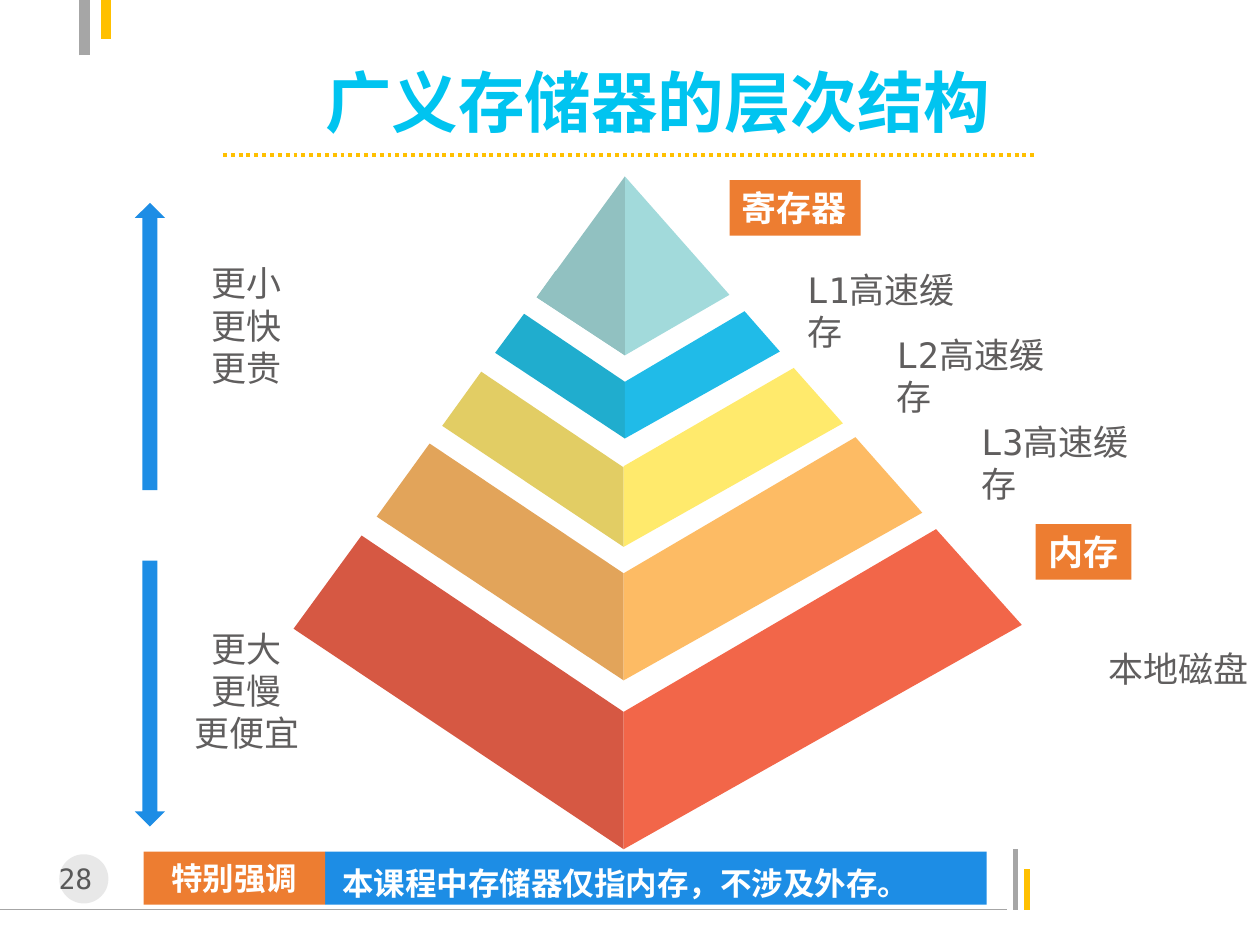
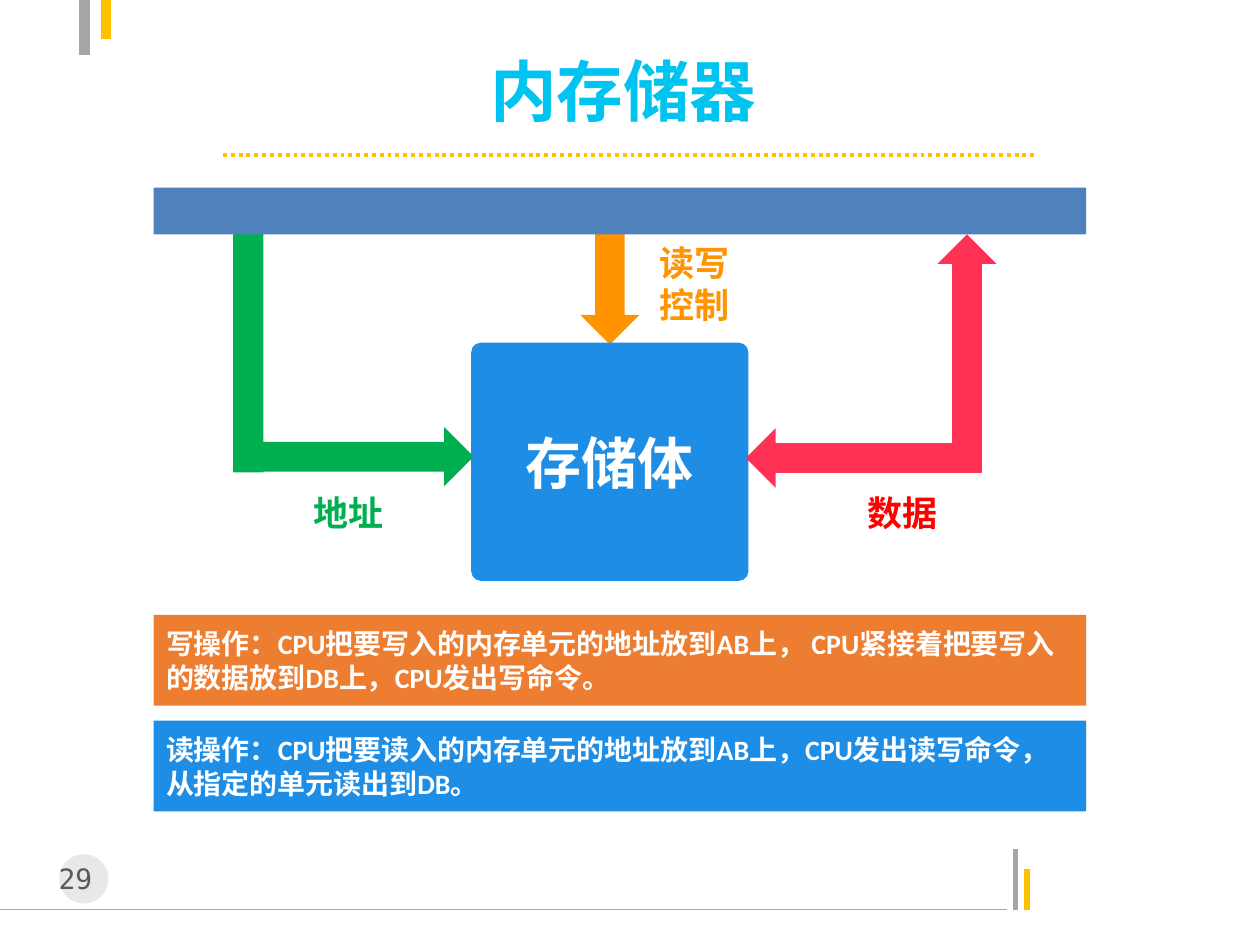
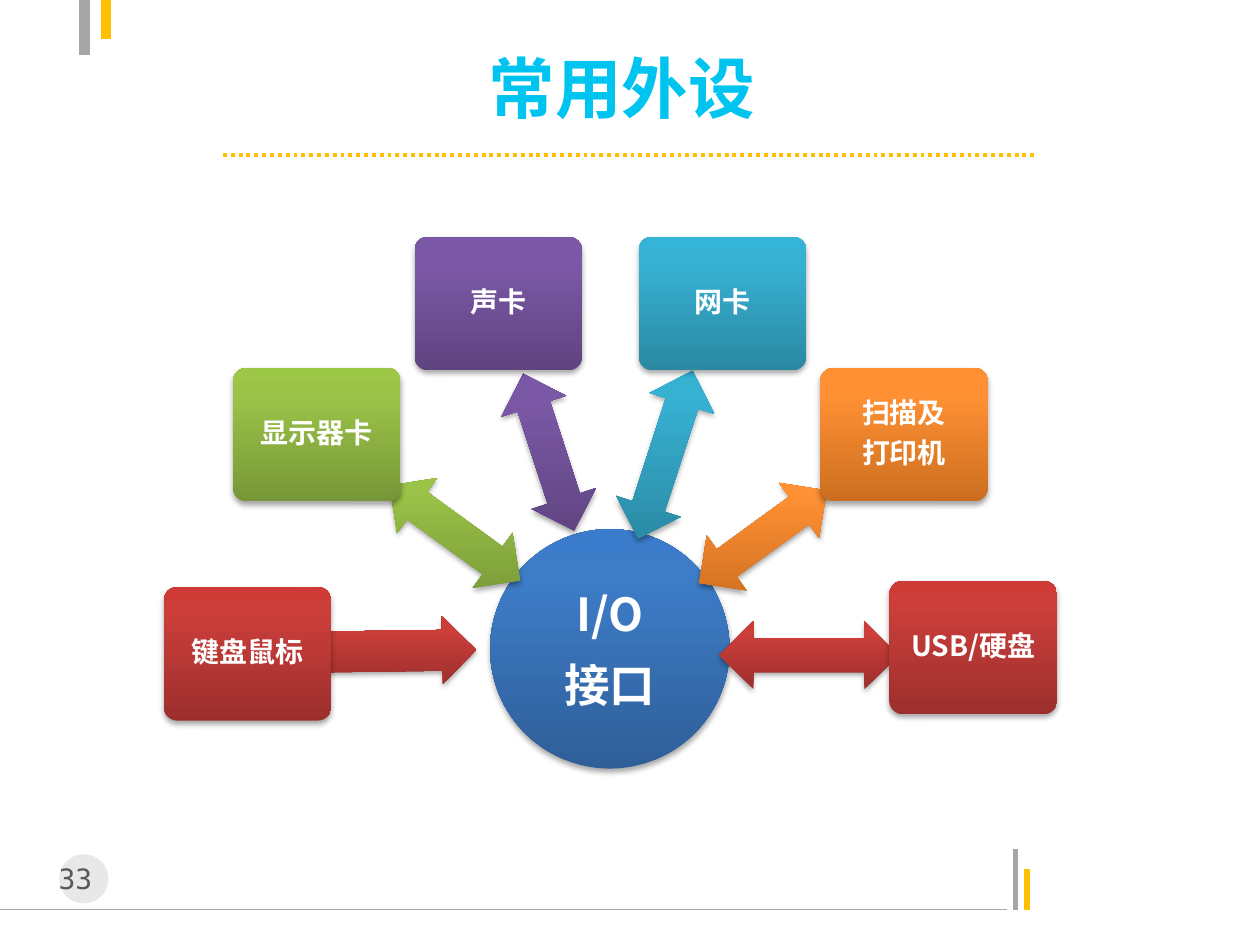
from dataclasses import dataclass, field
from typing import Any, NamedTuple, Optional

from pptx import Presentation
from pptx.dml.color import RGBColor
from pptx.enum.dml import MSO_LINE
from pptx.enum.shapes import MSO_CONNECTOR, MSO_SHAPE as Preset
from pptx.enum.text import MSO_ANCHOR as Anchor, MSO_AUTO_SIZE as AutoSize, PP_ALIGN as Align
from pptx.oxml import parse_xml
from pptx.oxml.ns import nsdecls, qn
from pptx.util import Inches, Pt

WHITE = RGBColor(0xFF, 0xFF, 0xFF)
CYAN = RGBColor(0x00, 0xC4, 0xF0)
GOLD = RGBColor(0xFF, 0xC0, 0x00)
GREY = RGBColor(0xA6, 0xA6, 0xA6)
DISC_GREY = RGBColor(0xBF, 0xBF, 0xBF)
NUMBER_GREY = RGBColor(0x59, 0x59, 0x59)
TEXT_GREY = RGBColor(0x60, 0x5E, 0x5E)
BLUE = RGBColor(0x1D, 0x8D, 0xE5)
BUS_BLUE = RGBColor(0x4F, 0x81, 0xBD)
ORANGE = RGBColor(0xED, 0x7D, 0x31)
AMBER = RGBColor(0xFF, 0x93, 0x00)
GREEN = RGBColor(0x00, 0xB0, 0x50)
PINK = RGBColor(0xFF, 0x32, 0x55)
RED = RGBColor(0xFF, 0x00, 0x00)

MONO, SANS, BODY, SERIF = "DejaVu Sans Mono", "Noto Sans CJK SC", "Calibri", "Times New Roman"


class Gradient(NamedTuple):
    bottom: RGBColor
    middle: RGBColor
    top: RGBColor


BLUE_GLOSS = Gradient(RGBColor(0x2F, 0x5F, 0x99), RGBColor(0x3D, 0x7C, 0xC7), RGBColor(0x3A, 0x7C, 0xCB))
RED_GLOSS = Gradient(RGBColor(0x9C, 0x2F, 0x2D), RGBColor(0xCB, 0x3E, 0x3A), RGBColor(0xCE, 0x3B, 0x37))
GREEN_GLOSS = Gradient(RGBColor(0x77, 0x97, 0x37), RGBColor(0x9B, 0xC3, 0x48), RGBColor(0x9D, 0xC7, 0x46))
PURPLE_GLOSS = Gradient(RGBColor(0x5F, 0x44, 0x80), RGBColor(0x7B, 0x58, 0xA6), RGBColor(0x7C, 0x57, 0xA8))
TEAL_GLOSS = Gradient(RGBColor(0x2A, 0x88, 0xA2), RGBColor(0x37, 0xB1, 0xD2), RGBColor(0x34, 0xB4, 0xD6))
ORANGE_GLOSS = Gradient(RGBColor(0xCC, 0x6E, 0x20), RGBColor(0xFF, 0x90, 0x34), RGBColor(0xFF, 0x91, 0x36))


@dataclass(frozen=True)
class Look:
    """How a text is set; margins run left, top, right, bottom in inches."""
    font: str
    size: float
    color: RGBColor
    bold: bool = True
    align: Align = Align.LEFT
    anchor: Anchor = Anchor.TOP
    margins: tuple = (0.1, 0.05, 0.1, 0.05)
    wrap: bool = True
    grow: bool = False
    paragraph: dict = field(default_factory=dict)


TITLE = Look(SANS, 38, CYAN, anchor=Anchor.MIDDLE)
PAGE_NUMBER = Look(MONO, 16, NUMBER_GREY, bold=False, align=Align.CENTER, grow=True)
TAG = Look(MONO, 20, WHITE, wrap=False, grow=True)
LEVEL = Look(MONO, 20, TEXT_GREY, bold=False, grow=True)
TRAIT = Look(MONO, 20, TEXT_GREY, bold=False, wrap=False, grow=True)
TRAIT_CENTERED = Look(MONO, 20, TEXT_GREY, bold=False, align=Align.CENTER, wrap=False, grow=True)
NOTICE = Look(SANS, 18, WHITE, grow=True, paragraph={"line_spacing": 1.2})
NOTICE_HEAD = Look(SANS, 18, WHITE, align=Align.CENTER, anchor=Anchor.MIDDLE)
STORE = Look(BODY, 32, WHITE, align=Align.CENTER, anchor=Anchor.MIDDLE)
OPERATION = Look(BODY, 16, WHITE, anchor=Anchor.MIDDLE)
DEVICE = Look(SANS, 16, WHITE, align=Align.CENTER, anchor=Anchor.MIDDLE, margins=(0.03,) * 4,
              paragraph={"line_spacing": 0.9, "space_after": Pt(5.6)})
HUB = Look(SANS, 26, WHITE, align=Align.CENTER, anchor=Anchor.MIDDLE, margins=(0.02,) * 4,
           paragraph={"space_after": Pt(9.1)})


def signal_look(color: RGBColor) -> Look:
    return Look(SERIF, 20, color, align=Align.CENTER, margins=(0.02, 0, 0.01, 0), wrap=False)


@dataclass(frozen=True)
class Block:
    """A preset shape, or a text box when kind is None."""
    place: tuple
    kind: Optional[Preset] = None
    fill: Any = None
    text: str = ""
    look: Optional[Look] = None
    rotation: float = 0
    adjust: tuple = ()


class Rule(NamedTuple):
    start: tuple
    end: tuple
    color: RGBColor
    width: float
    dotted: bool = False


class Face(NamedTuple):
    color: RGBColor
    points: tuple


class Device(NamedTuple):
    text: str
    gloss: Gradient
    corner: tuple
    arrow: tuple
    rotation: float
    kind: Preset = Preset.LEFT_RIGHT_ARROW
    adjust: tuple = ()


RULES = [
    Rule((0, 7.22), (7.99, 7.22), GREY, 0.75),
    Rule((8.06, 7.22), (8.06, 6.74), GREY, 3),
    Rule((8.15, 7.22), (8.15, 6.9), GOLD, 3),
    Rule((0.67, 0.44), (0.67, 0), GREY, 6),
    Rule((0.84, 0), (0.84, 0.31), GOLD, 6),
    Rule((1.77, 1.23), (8.23, 1.23), GOLD, 2.25, True),
]

FACES = [
    Face(RGBColor(0xA2, 0xDA, 0xDB), ((4.96, 2.82), (4.96, 1.4), (5.79, 2.34))),
    Face(RGBColor(0x91, 0xC1, 0xC1), ((4.96, 1.4), (4.26, 2.36), (4.96, 2.82))),
    Face(RGBColor(0xE2, 0xA4, 0x5A), ((3.41, 3.52), (2.99, 4.1), (4.95, 5.4), (4.95, 4.55))),
    Face(RGBColor(0xFD, 0xBB, 0x64), ((4.95, 4.55), (4.95, 5.4), (7.32, 4.07), (6.79, 3.47))),
    Face(RGBColor(0xE2, 0xCD, 0x64), ((3.82, 2.95), (3.51, 3.38), (4.95, 4.34), (4.95, 3.71))),
    Face(RGBColor(0xFF, 0xEA, 0x6C), ((4.95, 3.7), (4.95, 4.34), (6.69, 3.36), (6.3, 2.92))),
    Face(RGBColor(0x20, 0xAD, 0xCE), ((4.16, 2.49), (3.93, 2.8), (4.96, 3.48), (4.96, 3.03))),
    Face(RGBColor(0x20, 0xBB, 0xE8), ((4.96, 3.03), (4.96, 3.48), (6.19, 2.79), (5.91, 2.47))),
    Face(RGBColor(0xD6, 0x58, 0x43), ((2.87, 4.25), (2.33, 4.99), (4.95, 6.74), (4.95, 5.65))),
    Face(RGBColor(0xF2, 0x66, 0x49), ((4.95, 5.65), (4.95, 6.74), (8.11, 4.96), (7.43, 4.2))),
    Face(RGBColor(0x91, 0xC1, 0xC1), ((4.41, 2.15), (4.26, 2.36), (4.96, 2.82), (4.96, 2.52))),
]

HIERARCHY = [
    Block((5.79, 1.43, 1.04, 0.44), Preset.RECTANGLE, ORANGE, "寄存器", TAG),
    *(Block((left, top, 1.64, 0.44), text=f"L{level}高速缓存", look=LEVEL)
      for level, (left, top) in enumerate([(6.31, 2.08), (7.02, 2.6), (7.69, 3.29)], 1)),
    Block((8.22, 4.16, 0.76, 0.44), Preset.RECTANGLE, ORANGE, "内存", TAG),
    Block((1.07, 1.61, 0.24, 2.28), Preset.UP_ARROW, BLUE),
    Block((1.07, 4.45, 0.24, 2.11), Preset.DOWN_ARROW, BLUE),
    Block((1.58, 2.03, 0.76, 1.11), text="更小\n更快\n更贵", look=TRAIT),
    Block((1.44, 4.93, 1.04, 1.11), text="更大\n更慢\n更便宜", look=TRAIT_CENTERED),
    Block((2.58, 6.76, 5.25, 0.42), Preset.RECTANGLE, BLUE),
    Block((2.62, 6.75, 5.23, 0.43), text="本课程中存储器仅指内存，不涉及外存。", look=NOTICE),
    Block((1.14, 6.76, 1.44, 0.42), Preset.RECTANGLE, ORANGE, "特别强调", NOTICE_HEAD),
    Block((8.7, 5.09, 1.32, 0.44), text="本地磁盘", look=TRAIT),
]

MEMORY = [
    Block((4.32, 1.98, 1.04, 0.47), Preset.RIGHT_ARROW, AMBER, rotation=90),
    Block((0.91, 2.57, 2.12, 0.24), Preset.RECTANGLE, GREEN, rotation=90),
    Block((3.74, 2.72, 2.2, 1.89), Preset.ROUNDED_RECTANGLE, BLUE, "存储体", STORE, adjust=(0.04,)),
    Block((1.22, 1.49, 7.4, 0.37), Preset.RECTANGLE, BUS_BLUE),
    Block((1.89, 3.39, 1.87, 0.47), Preset.RIGHT_ARROW, GREEN),
    Block((5.92, 3.4, 1.87, 0.47), Preset.RIGHT_ARROW, PINK, rotation=180),
    Block((6.73, 2.57, 1.89, 0.47), Preset.RIGHT_ARROW, PINK, rotation=270),
    Block((6.64, 3.9, 1.04, 0.43), text="数据", look=signal_look(RED)),
    Block((2.24, 3.9, 1.04, 0.43), text="地址", look=signal_look(GREEN)),
    Block((4.99, 1.92, 1.04, 0.77), text="读写\n控制", look=signal_look(AMBER)),
    Block((1.22, 4.88, 7.4, 0.72), Preset.RECTANGLE, ORANGE,
          "写操作：CPU把要写入的内存单元的地址放到AB上， CPU紧接着把要写入的数据放到DB上，CPU发出写命令。",
          OPERATION),
    Block((1.22, 5.72, 7.4, 0.72), Preset.RECTANGLE, BLUE,
          "读操作：CPU把要读入的内存单元的地址放到AB上，CPU发出读写命令，从指定的单元读出到DB。",
          OPERATION),
]

DEVICES = [
    Device("键盘鼠标", RED_GLOSS, (1.3, 4.66), (1.96, 4.9, 1.82, 0.54), 179.2, Preset.LEFT_ARROW, (0.6, 0.5)),
    Device("显示器卡", GREEN_GLOSS, (1.85, 2.92), (2.97, 3.96, 1.28, 0.54), 216),
    Device("声卡", PURPLE_GLOSS, (3.29, 1.88), (3.7, 3.32, 1.31, 0.54), 252),
    Device("网卡", TEAL_GLOSS, (5.07, 1.88), (4.58, 3.34, 1.4, 0.54), 288),
    Device("扫描及\n打印机", ORANGE_GLOSS, (6.51, 2.92), (5.43, 3.99, 1.25, 0.54), 324),
    Device("USB/硬盘", RED_GLOSS, (7.06, 4.61), (5.71, 4.93, 1.42, 0.54), 0),
]


def assign(target: Any, values: dict) -> None:
    for name, value in values.items():
        setattr(target, name, value)


def write(frame: Any, text: str, look: Look) -> None:
    sides = ("margin_left", "margin_top", "margin_right", "margin_bottom")
    assign(frame, {side: Inches(margin) for side, margin in zip(sides, look.margins)})
    assign(frame, {
        "text": text,
        "word_wrap": look.wrap,
        "vertical_anchor": look.anchor,
        "auto_size": AutoSize.SHAPE_TO_FIT_TEXT if look.grow else AutoSize.NONE,
    })
    for para in frame.paragraphs:
        assign(para, {"alignment": look.align, **look.paragraph})
        for span in para.runs:
            assign(span.font, {"name": look.font, "size": Pt(look.size), "bold": look.bold})
            span.font.color.rgb = look.color


def paint_gloss(shape: Any, gloss: Gradient) -> None:
    """Fill with an upright gradient and add a soft shadow below."""
    shape.fill.gradient()
    properties = shape._element.spPr
    stops = "".join(f'<a:gs pos="{stop * 1000}"><a:srgbClr val="{color}"/></a:gs>'
                    for stop, color in zip((0, 80, 100), gloss))
    properties.replace(properties.find(qn("a:gradFill")), parse_xml(
        f'<a:gradFill {nsdecls("a")} rotWithShape="0"><a:gsLst>{stops}</a:gsLst>'
        '<a:lin ang="16200000" scaled="0"/></a:gradFill>'))
    properties.find(qn("a:effectLst")).append(parse_xml(
        f'<a:outerShdw {nsdecls("a")} blurRad="40000" dist="23000" dir="5400000" rotWithShape="0">'
        '<a:srgbClr val="000000"><a:alpha val="35000"/></a:srgbClr></a:outerShdw>'))


def paint(shape: Any, fill: Any) -> None:
    shape.line.fill.background()
    shape.shadow.inherit = False
    if isinstance(fill, Gradient):
        paint_gloss(shape, fill)
    else:
        shape.fill.solid()
        shape.fill.fore_color.rgb = fill


def draw_block(page: Any, block: Block) -> Any:
    place = [Inches(length) for length in block.place]
    if block.kind is None:
        shape = page.shapes.add_textbox(*place)
    else:
        shape = page.shapes.add_shape(block.kind, *place)
        paint(shape, block.fill)
        shape.rotation = block.rotation
        for index, value in enumerate(block.adjust):
            shape.adjustments[index] = value
    if block.look:
        write(shape.text_frame, block.text, block.look)
    return shape


def draw_rule(page: Any, rule: Rule) -> None:
    ends = [Inches(length) for length in (*rule.start, *rule.end)]
    connector = page.shapes.add_connector(MSO_CONNECTOR.STRAIGHT, *ends)
    connector.line.color.rgb = rule.color
    connector.line.width = Pt(rule.width)
    if rule.dotted:
        connector.line.dash_style = MSO_LINE.ROUND_DOT
    connector._element.spPr.append(parse_xml(f'<a:effectLst {nsdecls("a")}/>'))


def draw_face(page: Any, face: Face) -> None:
    first, *rest = [(Inches(x), Inches(y)) for x, y in face.points]
    builder = page.shapes.build_freeform(*first)
    builder.add_line_segments(rest, close=True)
    paint(builder.convert_to_shape(), face.color)


def draw_device(page: Any, device: Device) -> None:
    draw_block(page, Block(device.arrow, device.kind, device.gloss,
                           rotation=device.rotation, adjust=device.adjust))
    draw_block(page, Block((*device.corner, 1.33, 1.06), Preset.ROUNDED_RECTANGLE, device.gloss,
                           device.text, DEVICE, adjust=(0.1,)))


def add_page(deck: Any, number: int, title: str, place: tuple) -> Any:
    """Add a slide with its title, rules and page number."""
    page = deck.slides.add_slide(deck.slide_layouts[5])
    for rule in RULES:
        draw_rule(page, rule)
    disc = draw_block(page, Block((0.47, 6.78, 0.39, 0.39), Preset.OVAL, DISC_GREY))
    color = disc._element.spPr.find(f'{qn("a:solidFill")}/{qn("a:srgbClr")}')
    color.append(parse_xml(f'<a:alpha {nsdecls("a")} val="35000"/>'))
    draw_block(page, Block((0.31, 6.79, 0.71, 0.37), text=f"{number} ", look=PAGE_NUMBER))
    box = page.shapes.title
    assign(box, dict(zip(("left", "top", "width", "height"), map(Inches, place))))
    write(box.text_frame, title, TITLE)
    return page


def main() -> None:
    deck = Presentation()
    deck.slide_width, deck.slide_height = Inches(10), Inches(7.5)

    page = add_page(deck, 28, "广义存储器的层次结构", (2.48, 0.55, 5.6, 0.5))
    for face in FACES:
        draw_face(page, face)
    for block in HIERARCHY:
        draw_block(page, block)

    page = add_page(deck, 29, "内存储器", (3.79, 0.46, 2.45, 0.5))
    for block in MEMORY:
        draw_block(page, block)

    page = add_page(deck, 33, "常用外设", (3.78, 0.44, 2.45, 0.5))
    draw_block(page, Block((3.89, 4.2, 1.9, 1.9), Preset.OVAL, BLUE_GLOSS, "I/O\n接口", HUB))
    for device in DEVICES:
        draw_device(page, device)

    deck.save("out.pptx")


if __name__ == "__main__":
    main()
